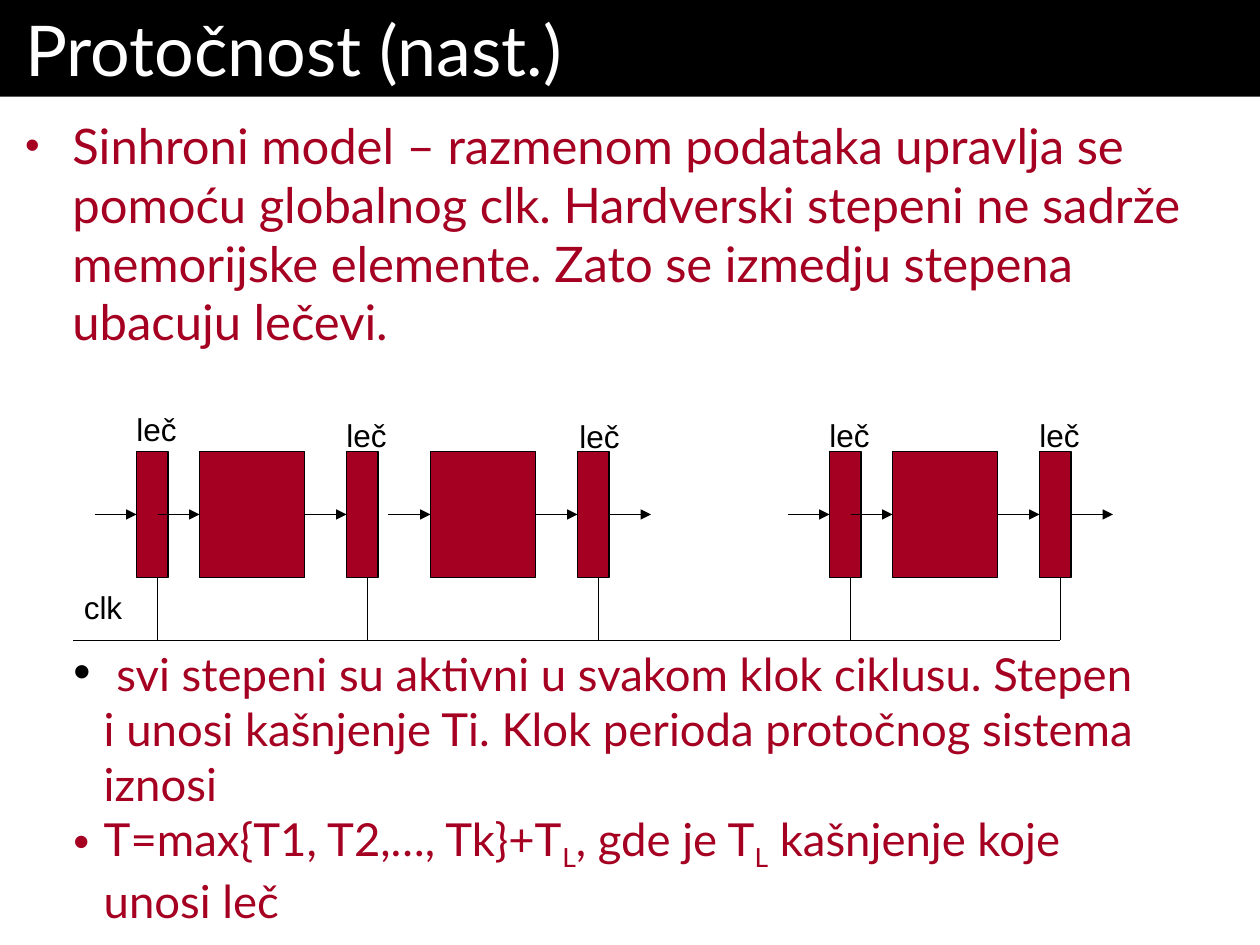
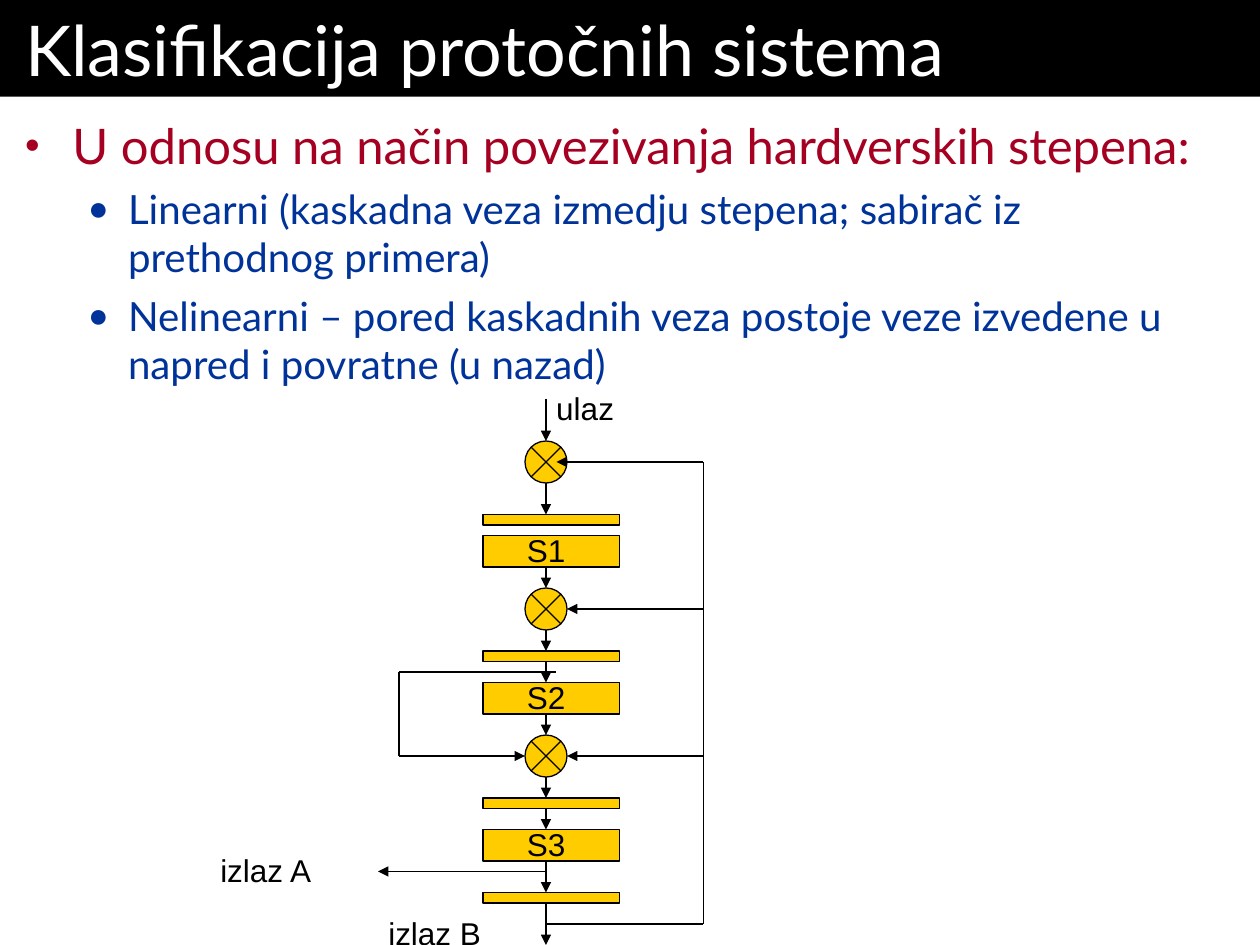
"""Builds two slides on pipelining: the synchronous model and the classes of pipelined systems."""
from typing import NamedTuple

from lxml.etree import SubElement
from pptx import Presentation
from pptx.dml.color import RGBColor
from pptx.enum.shapes import MSO_CONNECTOR, MSO_SHAPE
from pptx.enum.text import MSO_ANCHOR, MSO_AUTO_SIZE
from pptx.oxml.ns import qn
from pptx.util import Pt

PX = 7620


class Style(NamedTuple):
    size: int
    font: str
    color: str
    left: int = 0
    hang: int = 0
    before: float = 0
    mark: str = ""
    tint: str = ""
    scale: int = 100


class Theme:
    black = "000000"
    red = "A50021"
    gold = "FFCC00"
    blue = "003399"
    line = 0.75
    title = Style(40, "Lato", "FFFFFF")
    label = Style(18, "Arial", black)
    main = Style(28, "Lato", red, 45, 45, 7, "•", red, 85)
    sub = Style(23, "Lato", blue, 98, 38, 5.8, "●", blue, 85)
    first = Style(26, "Lato", red, 29, 29, 0, "•", black)
    note = Style(26, "Lato", red, 29, 29, 0, "•", red)


def write(shape, rows, pad, anchor=MSO_ANCHOR.TOP):
    frame = shape.text_frame
    frame.word_wrap = True
    frame.auto_size = MSO_AUTO_SIZE.NONE
    frame.vertical_anchor = anchor
    frame.margin_left = frame.margin_right = pad[0] * PX
    frame.margin_top = frame.margin_bottom = pad[1] * PX
    for i, (style, runs) in enumerate(rows):
        para = frame.paragraphs[0] if i == 0 else frame.add_paragraph()
        props = para._p.get_or_add_pPr()
        props.set("algn", "l")
        if style.mark:
            props.set("marL", str(style.left * PX))
            props.set("indent", str(-style.hang * PX))
            tint = SubElement(props, qn("a:buClr"))
            SubElement(tint, qn("a:srgbClr"), val=style.tint)
            SubElement(props, qn("a:buSzPct"), val=str(style.scale * 1000))
            SubElement(props, qn("a:buFont"), typeface="Arial")
            SubElement(props, qn("a:buChar"), char=style.mark)
        para.space_before = Pt(style.before)
        para.font.size = Pt(style.size)
        para.font.name = style.font
        para.font.color.rgb = RGBColor.from_string(style.color)
        for text, size, drop in [(runs, 0, 0)] if isinstance(runs, str) else runs:
            run = para.add_run()
            run.text = text
            if size:
                run.font.size = Pt(size)
            if drop:
                run._r.get_or_add_rPr().set("baseline", str(drop * 1000))


def join(slide, x1, y1, x2, y2, arrow=True):
    wire = slide.shapes.add_connector(
        MSO_CONNECTOR.STRAIGHT, x1 * PX, y1 * PX, x2 * PX, y2 * PX)
    wire.line.color.rgb = RGBColor.from_string(Theme.black)
    wire.line.width = Pt(Theme.line)
    if arrow:
        SubElement(wire.line._get_or_add_ln(), qn("a:tailEnd"), type="triangle")
    SubElement(wire._element.spPr, qn("a:effectLst"))


latches = [130, 330, 550, 790, 990]
stages = [190, 410, 850]
starts = [90, 150, 290, 370, 510, 580, 750, 810, 950, 1020]
tags = zip(latches, [12, 12, 10, 12, 12], [384, 390, 391, 390, 390])
nodes = [420, 560, 700]
steps = [510, 650, 790]
bars = [490, 620, 760, 850]
spine = [(380, 420), (460, 490), (540, 560), (600, 620), (630, 650),
         (680, 700), (740, 760), (770, 790), (820, 850), (860, 900)]

pages = [
    dict(
        title="Protočnost (nast.)",
        body=[(Theme.main, "Sinhroni model – razmenom podataka upravlja se pomoću globalnog clk. "
               "Hardverski stepeni ne sadrže memorijske elemente. "
               "Zato se izmedju stepena ubacuju lečevi.")],
        fill=Theme.red,
        blocks=[(MSO_SHAPE.RECTANGLE, x, 430, 100, 120) for x in stages]
        + [(MSO_SHAPE.RECTANGLE, x, 430, 30, 120) for x in latches],
        wires=[(x, 490, x + 40, 490) for x in starts]
        + [(70, 610, 1010, 610, False)]
        + [(x + 20, 550, x + 20, 610, False) for x in latches],
        labels=[("clk", 68, 554, 68)] + [("leč", x - dx, y, 68) for x, dx, y in tags],
        notes=[
            (Theme.first, [
                (" ", 28, 0),
                ("svi stepeni su aktivni u svakom klok ciklusu. Stepen i unosi kašnjenje Ti. "
                 "Klok perioda protočnog sistema iznosi", 0, 0)]),
            (Theme.note, [
                ("T=max{T1, T2,…, Tk}+T", 0, 0), ("L", 0, -25), (", gde je T", 0, 0),
                ("L", 0, -25), (" kašnjenje koje unosi leč", 0, 0)]),
        ],
    ),
    dict(
        title="Klasifikacija protočnih sistema",
        body=[
            (Theme.main, "U odnosu na način povezivanja hardverskih stepena:"),
            (Theme.sub, "Linearni (kaskadna veza izmedju stepena; sabirač iz prethodnog primera)"),
            (Theme.sub, "Nelinearni – pored kaskadnih veza postoje veze izvedene u napred "
             "i povratne (u nazad)"),
        ],
        fill=Theme.gold,
        blocks=[(MSO_SHAPE.FLOWCHART_SUMMING_JUNCTION, 500, y, 40, 40) for y in nodes]
        + [(MSO_SHAPE.RECTANGLE, 460, y, 130, 30) for y in steps]
        + [(MSO_SHAPE.RECTANGLE, 460, y, 130, 10) for y in bars],
        wires=[(520, top, 520, end) for top, end in spine]
        + [(520, 880, 670, 880, False), (670, 880, 670, 440, False)]
        + [(670, y + 20, x, y + 20) for x, y in zip([530, 540, 540], nodes)]
        + [(380, 640, 530, 640, False), (380, 640, 380, 720, False),
           (380, 720, 500, 720), (520, 830, 360, 830)],
        labels=[(f"S{i}", 490, y - 10, 68) for i, y in enumerate(steps, 1)]
        + [("ulaz", 518, 364, 86), ("izlaz A", 198, 804, 118), ("izlaz B", 358, 864, 118)],
        notes=[],
    ),
]

deck = Presentation()
deck.slide_width, deck.slide_height = 1200 * PX, 900 * PX

for page in pages:
    slide = deck.slides.add_slide(deck.slide_layouts[6])
    shapes = slide.shapes

    band = shapes.add_shape(MSO_SHAPE.RECTANGLE, 0, 0, 1200 * PX, 92 * PX)
    band.shadow.inherit = False
    band.fill.solid()
    band.fill.fore_color.rgb = RGBColor.from_string(Theme.black)
    band.line.fill.background()
    write(band, [(Theme.title, page["title"])], (24, 6), MSO_ANCHOR.MIDDLE)

    body = shapes.add_textbox(0, 92 * PX, 1200 * PX, 808 * PX)
    write(body, page["body"], (24, 18))

    for kind, *area in page["blocks"]:
        block = shapes.add_shape(kind, *[n * PX for n in area])
        block.shadow.inherit = False
        block.fill.solid()
        block.fill.fore_color.rgb = RGBColor.from_string(page["fill"])
        block.line.color.rgb = RGBColor.from_string(Theme.black)
        block.line.width = Pt(Theme.line)

    for wire in page["wires"]:
        join(slide, *wire)

    for text, x, y, wide in page["labels"]:
        label = shapes.add_textbox(x * PX, y * PX, wide * PX, 48 * PX)
        write(label, [(Theme.label, text)], (12, 6), MSO_ANCHOR.BOTTOM)

    if page["notes"]:
        notes = shapes.add_textbox(58 * PX, 606 * PX, 1042 * PX, 283 * PX)
        write(notes, page["notes"], (12, 6), MSO_ANCHOR.BOTTOM)

deck.save("out.pptx")
